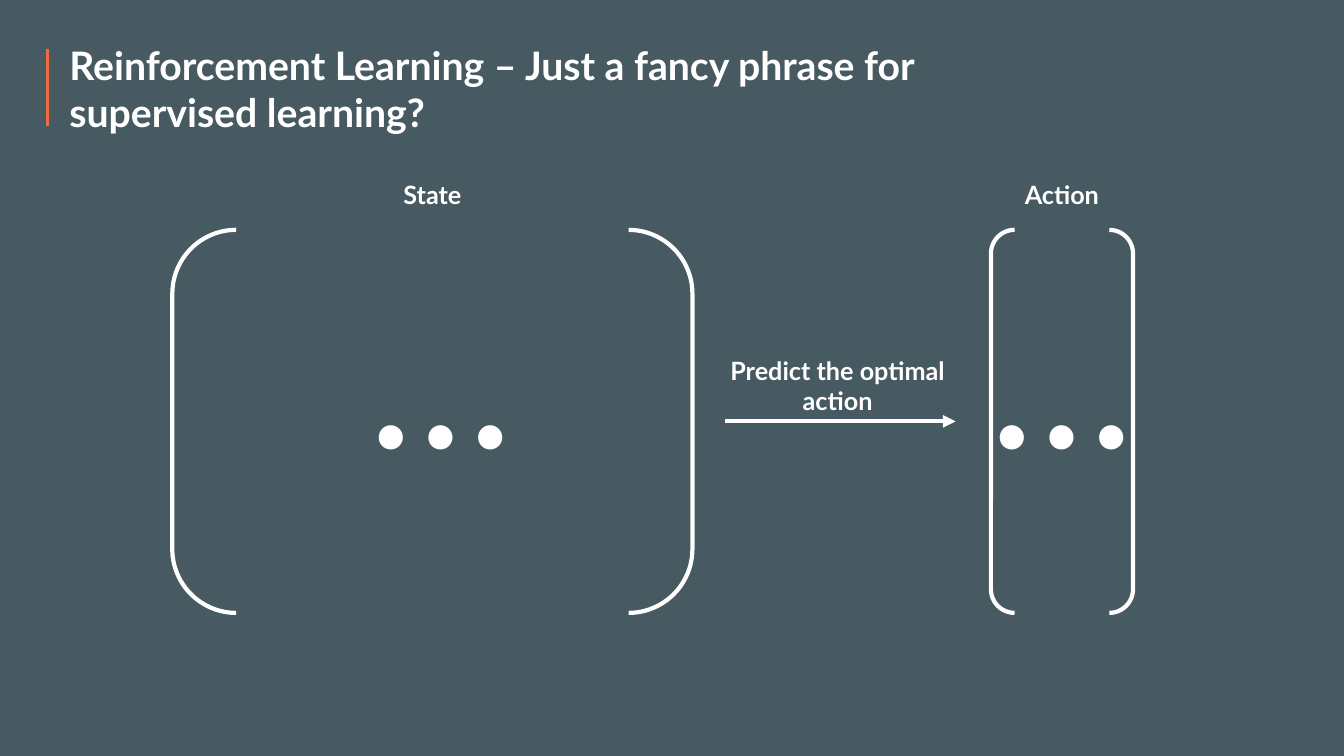
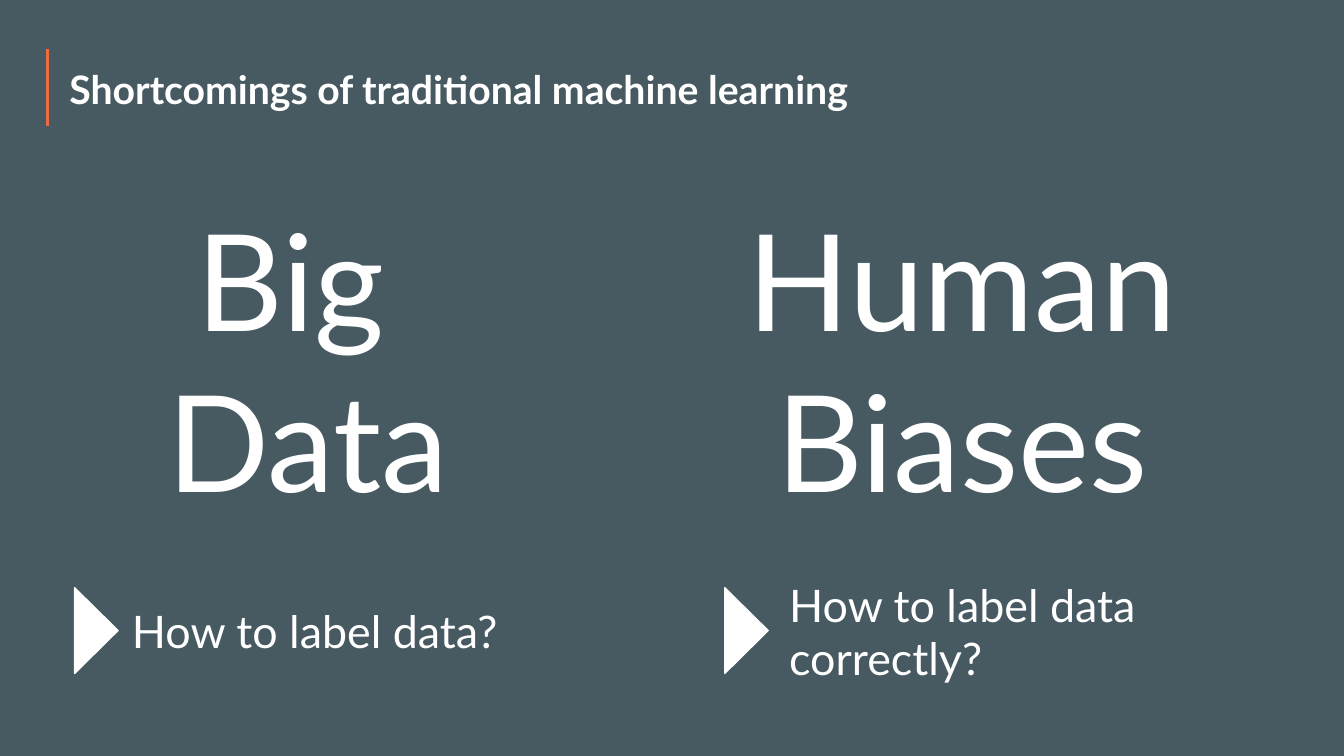
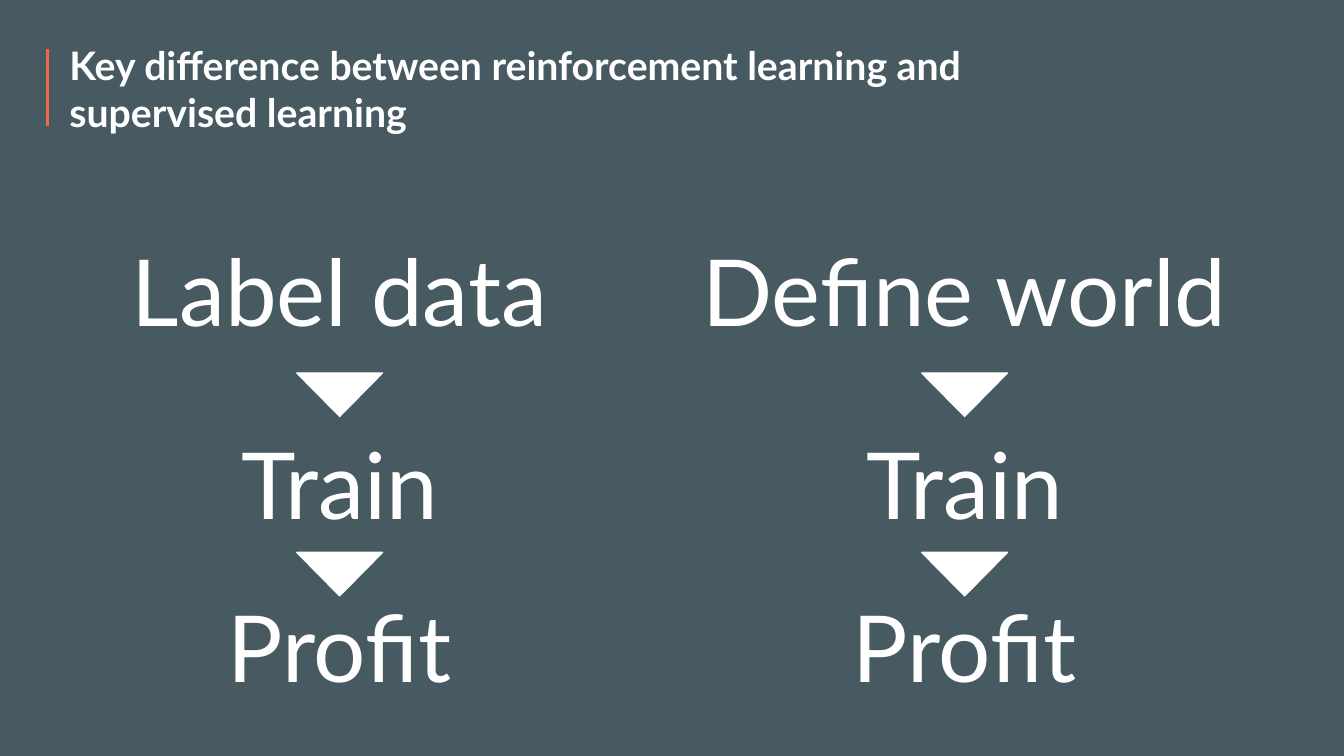
"""Build three dark slides comparing reinforcement and supervised learning."""
from dataclasses import dataclass

from lxml import etree
from pptx import Presentation
from pptx.dml.color import RGBColor
from pptx.enum.shapes import MSO_CONNECTOR, MSO_SHAPE
from pptx.enum.text import MSO_ANCHOR, PP_ALIGN
from pptx.oxml.ns import qn
from pptx.slide import Slide
from pptx.util import Pt

LEFT, CENTER = PP_ALIGN.LEFT, PP_ALIGN.CENTER
MIDDLE = MSO_ANCHOR.MIDDLE
STRAIGHT = MSO_CONNECTOR.STRAIGHT
BRACKETS, TRIANGLE = MSO_SHAPE.DOUBLE_BRACKET, MSO_SHAPE.ISOSCELES_TRIANGLE

FONT = "Lato"
SLATE, WHITE, ORANGE = "475961", "FFFFFF", "ED6B42"
WIDTH, HEIGHT = 960, 540
TRIANGLE_W, TRIANGLE_H = 61.2, 31
BRACKET_Y, BRACKET_H = 164.2, 273.6
LABEL_W = 180
TITLE = {"size": Pt(28), "bold": True}
LABEL = {"size": Pt(18), "bold": True}
DOTS = {"size": Pt(138)}
HEADLINE = {"size": Pt(96)}
QUESTION = {"size": Pt(32)}
STEP = {"size": Pt(66)}


@dataclass
class Vector:
    """A bracketed vector with its label and the left edge of its dots."""
    label: str
    x: float
    w: float
    dots_x: float


@dataclass
class Shortcoming:
    """A headline box and the question below it."""
    headline: str
    x: float
    w: float
    pointer_x: float
    question: str
    question_x: float
    question_w: float


@dataclass
class Process:
    """A column of steps read from top to bottom."""
    x: float
    steps: tuple[str, ...]


VECTORS = (
    Vector("State", 123.1, 371.5, 256.3),
    Vector("Action", 707.8, 101.5, 699.8),
)
SHORTCOMINGS = (
    Shortcoming("Big \nData", 109.4, 221, 68.8, "How to label data?", 87.1, 288.7),
    Shortcoming("Human Biases", 519.1, 336.2, 533.2,
                "How to label data correctly?", 556.6, 312.5),
)
PROCESSES = (
    Process(33.8, ("Label data", "Train", "Profit")),
    Process(480.2, ("Define world", "Train", "Profit")),
)
STEP_W, STEP_H = 417.6, 87.1
STEP_YS = (163.4, 301, 417.6)
POINTER_YS = (281.9, 410.1)


def rgb(color: str) -> RGBColor:
    """Turn a hex string into a colour."""
    return RGBColor.from_string(color)


def add_text(s: Slide, text: str, x: float, y: float, w: float, h: float,
             style: dict, align: PP_ALIGN = CENTER) -> None:
    """Add a vertically centred text box with one paragraph a line."""
    tf = s.shapes.add_textbox(Pt(x), Pt(y), Pt(w), Pt(h)).text_frame
    tf.word_wrap = True
    tf.vertical_anchor = MIDDLE
    for i, line in enumerate(text.split("\n")):
        p = tf.paragraphs[0] if i == 0 else tf.add_paragraph()
        p.alignment = align
        r = p.add_run()
        r.text = line
        r.font.color.rgb = rgb(WHITE)
        for name, value in {"name": FONT, **style}.items():
            setattr(r.font, name, value)


def add_line(s: Slide, x1: float, y1: float, x2: float, y2: float,
             color: str, weight: float, arrow: bool = False) -> None:
    """Add a straight line, with an arrowhead at its end if asked."""
    line = s.shapes.add_connector(STRAIGHT, Pt(x1), Pt(y1), Pt(x2), Pt(y2))
    line.line.color.rgb = rgb(color)
    line.line.width = Pt(weight)
    if arrow:
        ln = line.line._get_or_add_ln()
        etree.SubElement(ln, qn("a:tailEnd"), type="triangle")
    etree.SubElement(line._element.spPr, qn("a:effectLst"))


def add_brackets(s: Slide, x: float, w: float) -> None:
    """Add a pair of rounded brackets."""
    sp = s.shapes.add_shape(BRACKETS, Pt(x), Pt(BRACKET_Y), Pt(w), Pt(BRACKET_H))
    sp.shadow.inherit = False
    sp.fill.background()
    sp.line.color.rgb = rgb(WHITE)
    sp.line.width = Pt(3)


def add_pointer(s: Slide, cx: float, cy: float, rotation: float) -> None:
    """Add a white triangle around a centre point."""
    sp = s.shapes.add_shape(TRIANGLE, Pt(cx - TRIANGLE_W / 2), Pt(cy - TRIANGLE_H / 2),
                            Pt(TRIANGLE_W), Pt(TRIANGLE_H))
    sp.rotation = rotation
    sp.shadow.inherit = False
    sp.fill.solid()
    sp.fill.fore_color.rgb = rgb(WHITE)
    sp.line.color.rgb = rgb(WHITE)
    sp.line.width = Pt(1)


def add_slide(prs: Presentation, title: str) -> Slide:
    """Add a blank slide with the accent bar and title."""
    s = prs.slides.add_slide(prs.slide_layouts[6])
    add_line(s, 33.8, 35.3, 33.8, 90, ORANGE, 2.25)
    add_text(s, title, 42.5, 25.9, 717.8, 74.9, TITLE, LEFT)
    return s


def add_prediction_slide(prs: Presentation) -> None:
    """Show a state vector leading to an action vector."""
    s = add_slide(prs, "Reinforcement Learning – Just a fancy phrase for supervised learning?")
    for v in VECTORS:
        add_brackets(s, v.x, v.w)
        add_text(s, "…", v.dots_x, 177.8, 121, 174.2, DOTS, LEFT)
        add_text(s, v.label, v.x + (v.w - LABEL_W) / 2, 124.6, LABEL_W, 28.8, LABEL)
    add_line(s, 517.7, 301, 682.6, 301, WHITE, 3, arrow=True)
    add_text(s, "Predict the optimal action", 508.3, 249.8, LABEL_W, 51.1, LABEL)


def add_shortcomings_slide(prs: Presentation) -> None:
    """Show two shortcomings, each with its question."""
    s = add_slide(prs, "Shortcomings of traditional machine learning")
    for c in SHORTCOMINGS:
        add_text(s, c.headline, c.x, 136.1, c.w, 239.8, HEADLINE)
        add_pointer(s, c.pointer_x, 450.4, 90)
        add_text(s, c.question, c.question_x, 408.2, c.question_w, 85, QUESTION, LEFT)


def add_difference_slide(prs: Presentation) -> None:
    """Show the steps of both processes side by side."""
    s = add_slide(prs, "Key difference between reinforcement learning and supervised learning")
    for process in PROCESSES:
        for step, y in zip(process.steps, STEP_YS):
            add_text(s, step, process.x, y, STEP_W, STEP_H, STEP)
        for y in POINTER_YS:
            add_pointer(s, process.x + STEP_W / 2, y, 180)


def main() -> None:
    """Build and save the presentation."""
    prs = Presentation()
    prs.slide_width, prs.slide_height = Pt(WIDTH), Pt(HEIGHT)
    fill = prs.slide_master.background.fill
    fill.solid()
    fill.fore_color.rgb = rgb(SLATE)
    add_prediction_slide(prs)
    add_shortcomings_slide(prs)
    add_difference_slide(prs)
    prs.save("out.pptx")


if __name__ == "__main__":
    main()
